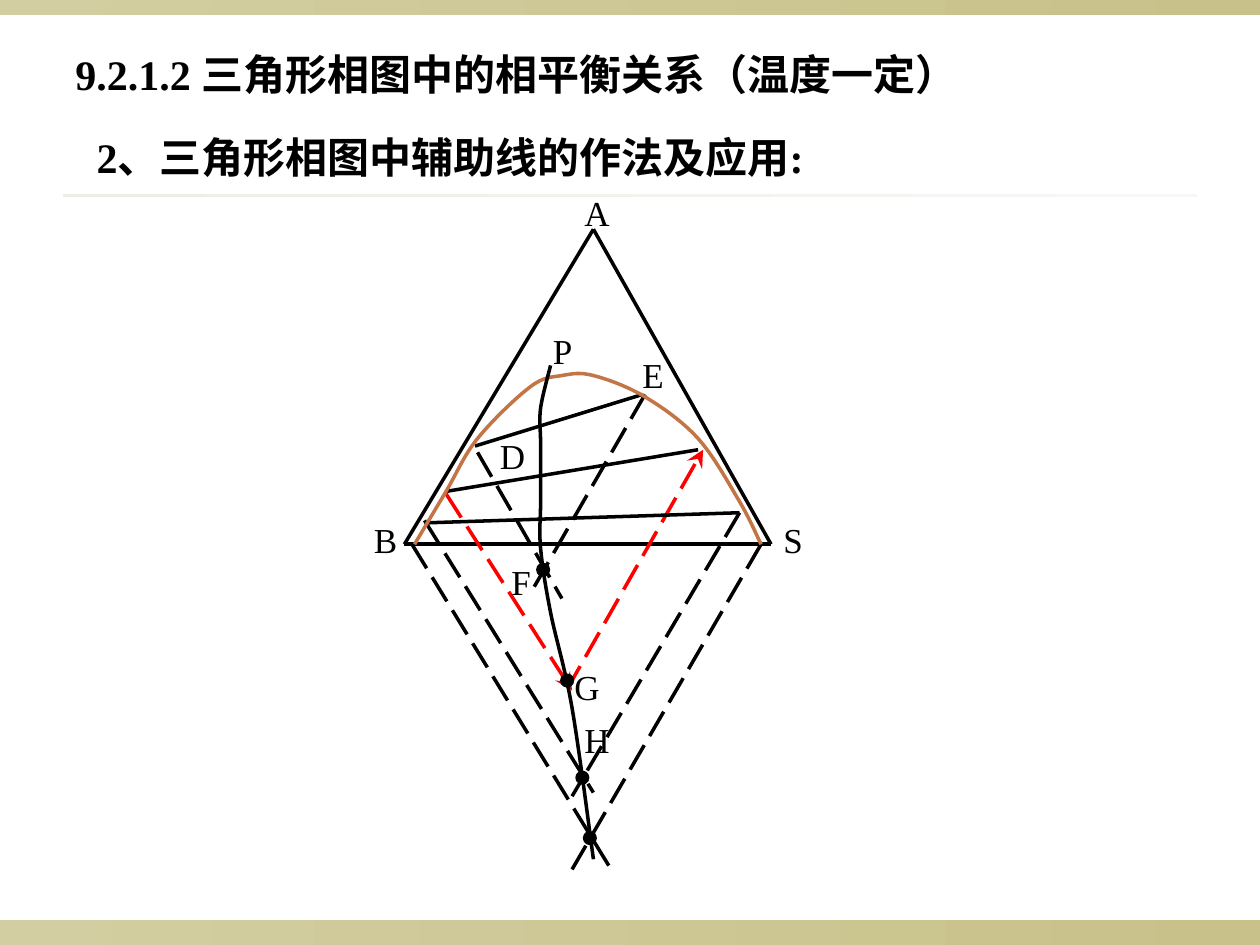
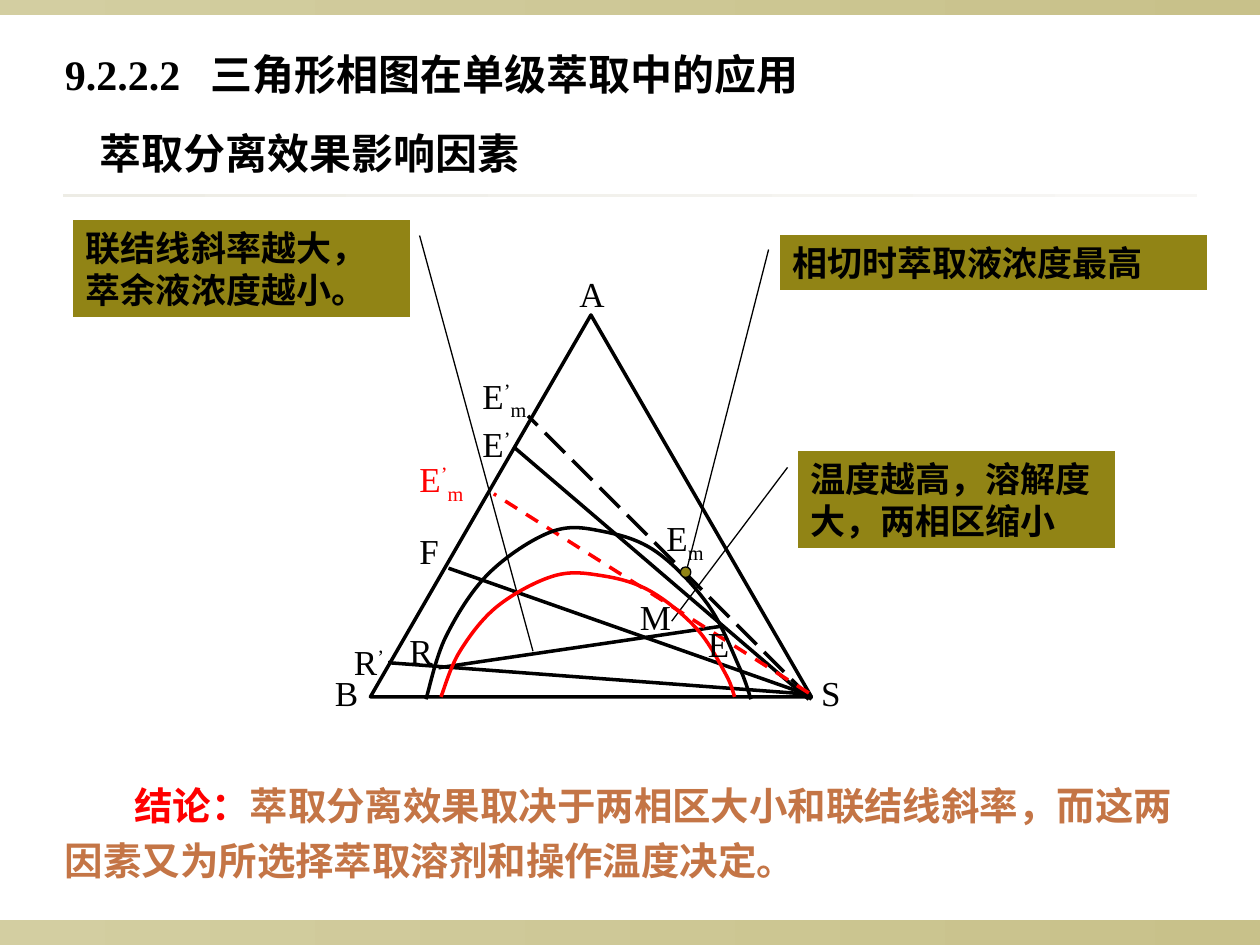
from dataclasses import dataclass
from itertools import pairwise
from typing import Optional

from pptx import Presentation
from pptx.dml.color import RGBColor
from pptx.enum.dml import MSO_LINE as Dash
from pptx.enum.shapes import MSO_CONNECTOR as Link, MSO_SHAPE as Form
from pptx.enum.text import MSO_ANCHOR as Anchor, PP_ALIGN as Align
from pptx.oxml.ns import qn
from pptx.oxml.xmlchemy import OxmlElement as Node
from pptx.util import Pt

BLACK = RGBColor(0x00, 0x00, 0x00)
RED = RGBColor(0xFF, 0x00, 0x00)
OLIVE = RGBColor(0x91, 0x84, 0x15)
COPPER = RGBColor(0xC4, 0x75, 0x46)
SAND = RGBColor(0xD3, 0xCE, 0xA1)
KHAKI = RGBColor(0xC8, 0xC1, 0x8A)
IVORY = RGBColor(0xED, 0xEC, 0xE5)
PEARL = RGBColor(0xF8, 0xF7, 0xF5)
FACE = "Times New Roman"
SHIFT = {"’": 30000, "m": -25000}
Spot = tuple[float, float]


@dataclass
class Band:
    left: float
    top: float
    width: float
    height: float
    start: RGBColor
    end: RGBColor


@dataclass
class Line:
    start: Spot
    end: Spot
    dash: Optional[Dash] = None
    color: RGBColor = BLACK
    arrow: str = ""


@dataclass
class Curve:
    spots: list[Spot]
    color: RGBColor = BLACK


@dataclass
class Label:
    text: str
    left: float
    top: float
    color: RGBColor = BLACK


@dataclass
class Dot:
    left: float
    top: float
    color: RGBColor = BLACK
    width: float = 2


@dataclass
class Title:
    text: str
    left: float
    top: float
    width: float
    height: float = 36
    tab: float = 0


@dataclass
class Callout:
    text: str
    left: float
    top: float
    width: float
    height: float
    tip: Spot
    tail: Spot


BANDS = [
    Band(0, 525.6, 720, 14.4, SAND, KHAKI),
    Band(0, 0, 720, 8.64, SAND, KHAKI),
    Band(36, 110.9, 648, 1.6, IVORY, PEARL),
]

APEX, BASE, SOLVENT = (339.1, 131), (231.1, 311), (440.6, 311)
LONG = Dash.LONG_DASH

TIE_TITLES = [
    Title("9.2.1.2 三角形相图中的相平衡关系（温度一定）", 36, 24.2, 606),
    Title("2、三角形相图中辅助线的作法及应用:", 48.2, 71.6, 426, 64.8),
]
TIE_LINES = [
    Line(APEX, BASE),
    Line(APEX, SOLVENT),
    Line(BASE, SOLVENT),
    Line((434.9, 311), (326.9, 496.8), LONG),
    Line((235.4, 311), (349.2, 496.8), LONG),
    Line((422.6, 293), (326.9, 455), LONG),
    Line((242.6, 297.4), (339.1, 452.9), LONG),
    Line((254.9, 282.2), (326.9, 394.6), LONG, RED, "a:tailEnd"),
    Line((401.8, 257), (326.9, 388.8), LONG, RED, "a:headEnd"),
    Line((272.9, 258.5), (321.1, 342), LONG),
    Line((368.6, 225.4), (303.1, 339.1), LONG),
    Line((271.4, 254.9), (367.2, 225.4)),
    Line((254.9, 280.8), (398.9, 257)),
    Line((242.6, 298.8), (422.6, 293)),
]
TIE_CURVES = [
    Curve([(434.9, 311), (422.6, 286.6), (398.9, 250.6), (368.6, 226.8), (339.1, 214.6),
           (321.1, 214.6), (303.1, 221), (272.9, 250.6), (254.9, 280.8), (236.9, 311)], COPPER),
    Curve([(314.6, 208.8), (308.9, 233.3), (308.9, 252), (308.9, 270), (308.9, 288.7),
           (308.9, 313.2), (314.6, 349.9), (326.9, 404.6), (339.1, 491)]),
]
TIE_LABELS = [
    Label("B", 206.6, 293), Label("A", 326.9, 105.8), Label("S", 440.6, 293),
    Label("P", 308.9, 185), Label("D", 278.6, 244.8), Label("E", 360, 198.2),
    Label("H", 326.9, 406.8), Label("G", 321.1, 376.6), Label("F", 285.1, 316.8),
]
TIE_DOTS = [Dot(334.1, 475.9), Dot(329.8, 441.4), Dot(321.1, 385.9), Dot(307.4, 322.6)]

STAGE_TITLES = [
    Title("9.2.2.2\t三角形相图在单级萃取中的应用", 30, 24.2, 438, tab=83.5),
    Title("萃取分离效果影响因素", 49.7, 69.1, 342),
]
STAGE_LINES = [
    Line((463.7, 399.6), (301.7, 237.6), LONG),
    Line((250.6, 381.6), (412.6, 357.8)),
    Line((462.2, 396.7), (221.8, 378.7)),
    Line((460.8, 396.7), (256.3, 324.7)),
    Line((462.2, 399.6), (293.8, 255.6)),
    Line((462.2, 396), (282.2, 282.2), Dash.DASH, RED),
]
STAGE_CURVES = [
    Curve([(243.4, 399.6), (254.9, 363.6), (279.4, 327.6), (315.4, 303.8), (344.9, 303.8),
           (375.1, 315.4), (404.6, 345.6), (422.6, 381.6), (429.1, 399.6)]),
    Curve([(252, 398.2), (262.8, 372.2), (284.4, 346.3), (316.8, 329), (344.2, 329),
           (371.5, 337.7), (398.2, 359.3), (414.7, 385.2), (419.8, 398.2)], RED),
]
STAGE_LABELS = [
    Label("A", 324, 151.9), Label("B", 184.3, 380.2), Label("S", 462.2, 380.2),
    Label("R", 226.8, 356.4), Label("R’", 195.1, 362.2), Label("F", 232.6, 298.8),
    Label("E’", 268.6, 237.8), Label("E", 397.4, 352.1), Label("M", 358.6, 336.5),
    Label("Em", 373.7, 291.8), Label("E’m", 268.6, 210.2), Label("E’m", 232.6, 257.8, RED),
]
STAGE_DOTS = [Dot(388.8, 324, OLIVE, 0.75)]
CALLOUTS = [
    Callout("联结线斜率越大，萃余液浓度越小。", 42, 126, 192.2, 55.4,
            (304.6, 372.2), (239.8, 134.6)),
    Callout("相切时萃取液浓度最高", 445.5, 134.4, 244.5, 31.5,
            (391.7, 328.3), (439.2, 142.6)),
    Callout("温度越高，溶解度大，两相区缩小", 456, 257.8, 181.4, 55.4,
            (383.8, 355), (450, 267.1)),
]
ENDING = [
    ("结论：", RED),
    ("萃取分离效果取决于两相区大小和联结线斜率，而这两因素又为所选择萃取溶剂和操作温度决定。", COPPER),
]


def add_form(slide, form: Form, left: float, top: float, width: float, height: float):
    shape = slide.shapes.add_shape(form, Pt(left), Pt(top), Pt(width), Pt(height))
    shape.shadow.inherit = False
    return shape


def add_text(slide, left: float, top: float, width: float, height: float):
    box = slide.shapes.add_textbox(Pt(left), Pt(top), Pt(width), Pt(height))
    box.text_frame.word_wrap = True
    return box.text_frame.paragraphs[0]


def add_free(slide, spots: list[Spot], close: bool, color: RGBColor, width: float):
    first, *rest = [(Pt(x), Pt(y)) for x, y in spots]
    pen = slide.shapes.build_freeform(*first)
    pen.add_line_segments(rest, close=close)
    shape = pen.convert_to_shape()
    shape.shadow.inherit = False
    shape.line.color.rgb = color
    shape.line.width = Pt(width)
    return shape, next(shape._element.iter(qn("a:path")))


def set_font(para, size: float, bold: bool = True, color: Optional[RGBColor] = BLACK) -> None:
    font = para.font
    font.name, font.size, font.bold = FACE, Pt(size), bold
    if color is not None:
        font.color.rgb = color


def draw_band(slide, band: Band) -> None:
    shape = add_form(slide, Form.RECTANGLE, band.left, band.top, band.width, band.height)
    shape.line.fill.background()
    shape.fill.gradient()
    shape.fill.gradient_angle = 0
    for stop, color in zip(shape.fill.gradient_stops, (band.start, band.end)):
        stop.color.rgb = color


def draw_line(slide, line: Line) -> None:
    ends = [Pt(n) for n in (*line.start, *line.end)]
    link = slide.shapes.add_connector(Link.STRAIGHT, *ends)
    link.line.color.rgb = line.color
    link.line.width = Pt(2)
    if line.dash is not None:
        link.line.dash_style = line.dash
    props = link._element.spPr
    if line.arrow:
        arrow = Node(line.arrow)
        for key, value in (("type", "stealth"), ("w", "lg"), ("len", "lg")):
            arrow.set(key, value)
        props.find(qn("a:ln")).append(arrow)
    props.append(Node("a:effectLst"))


def guide(spots: list[Spot]) -> list[Spot]:
    ring = [spots[0], *spots, spots[-1]]
    trail = [spots[0]]
    for i, (one, two) in enumerate(pairwise(spots)):
        prev, after = ring[i], ring[i + 3]
        trail += [
            tuple(b + (c - a) / 6 for a, b, c in zip(prev, one, two)),
            tuple(c - (d - b) / 6 for b, c, d in zip(one, two, after)),
            two,
        ]
    return trail


def draw_curve(slide, curve: Curve) -> None:
    shape, route = add_free(slide, guide(curve.spots), False, curve.color, 2)
    shape.fill.background()
    legs = route.findall(qn("a:lnTo"))
    for i in range(0, len(legs), 3):
        bend = Node("a:cubicBezTo")
        for leg in legs[i:i + 3]:
            bend.append(leg[0])
            route.remove(leg)
        route.append(bend)


def draw_label(slide, label: Label) -> None:
    para = add_text(slide, label.left, label.top, 48, 31.7)
    set_font(para, 20, False, label.color)
    for sign in label.text:
        run = para.add_run()
        run.text = sign
        if sign in SHIFT:
            run.font._element.set("baseline", str(SHIFT[sign]))


def draw_dot(slide, dot: Dot) -> None:
    shape = add_form(slide, Form.OVAL, dot.left, dot.top, 6, 6)
    shape.fill.solid()
    shape.fill.fore_color.rgb = dot.color
    shape.line.color.rgb = BLACK
    shape.line.width = Pt(dot.width)


def draw_title(slide, title: Title) -> None:
    para = add_text(slide, title.left, title.top, title.width, title.height)
    para.text = title.text
    props = para._p.get_or_add_pPr()
    props.set("hangingPunct", "0")
    if title.tab:
        tabs, tab = Node("a:tabLst"), Node("a:tab")
        tab.set("pos", str(Pt(title.tab)))
        tab.set("algn", "l")
        tabs.append(tab)
        props.append(tabs)
    set_font(para, 24)


def draw_callout(slide, note: Callout) -> None:
    left, top = note.left, note.top
    right, low = left + note.width, top + note.height
    edge = [(left, top), (right, top), (right, low), (left, low)]
    shape, route = add_free(slide, edge, True, BLACK, 0.75)
    shape.fill.solid()
    shape.fill.fore_color.rgb = OLIVE
    leader = Node("a:path")
    for key in ("w", "h"):
        leader.set(key, route.get(key))
    leader.set("fill", "none")
    route.set("stroke", "0")
    for kind, (x, y) in (("a:moveTo", note.tip), ("a:lnTo", note.tail)):
        step, mark = Node(kind), Node("a:pt")
        mark.set("x", str(Pt(x - left)))
        mark.set("y", str(Pt(y - top)))
        step.append(mark)
        leader.append(step)
    route.addnext(leader)
    frame = shape.text_frame
    frame.word_wrap = True
    frame.vertical_anchor = Anchor.TOP
    para = frame.paragraphs[0]
    para.text = note.text
    para.alignment = Align.LEFT
    set_font(para, 20)


def draw_ending(slide) -> None:
    para = add_text(slide, 30, 438, 653.8, 70.6)
    para.line_spacing = 1.2
    para._p.get_or_add_pPr().set("indent", str(Pt(39.7)))
    set_font(para, 22, color=None)
    for text, color in ENDING:
        run = para.add_run()
        run.text = text
        run.font.color.rgb = color


def draw_all(slide, draw, items: list) -> None:
    for item in items:
        draw(slide, item)


def add_slide(deck, titles: list[Title]):
    slide = deck.slides.add_slide(deck.slide_layouts[6])
    draw_all(slide, draw_band, BANDS)
    draw_all(slide, draw_title, titles)
    return slide


def draw_graph(slide, lines: list, curves: list, labels: list, dots: list) -> None:
    draw_all(slide, draw_line, lines)
    draw_all(slide, draw_curve, curves)
    draw_all(slide, draw_label, labels)
    draw_all(slide, draw_dot, dots)


def main() -> None:
    deck = Presentation()
    deck.slide_width, deck.slide_height = Pt(720), Pt(540)
    tie = add_slide(deck, TIE_TITLES)
    draw_graph(tie, TIE_LINES, TIE_CURVES, TIE_LABELS, TIE_DOTS)
    stage = add_slide(deck, STAGE_TITLES)
    frame = add_form(stage, Form.ISOSCELES_TRIANGLE, 211.7, 180, 252, 218.2)
    frame.fill.background()
    frame.line.color.rgb = BLACK
    frame.line.width = Pt(2)
    draw_all(stage, draw_callout, CALLOUTS)
    draw_graph(stage, STAGE_LINES, STAGE_CURVES, STAGE_LABELS, STAGE_DOTS)
    draw_ending(stage)
    deck.save("out.pptx")


if __name__ == "__main__":
    main()
